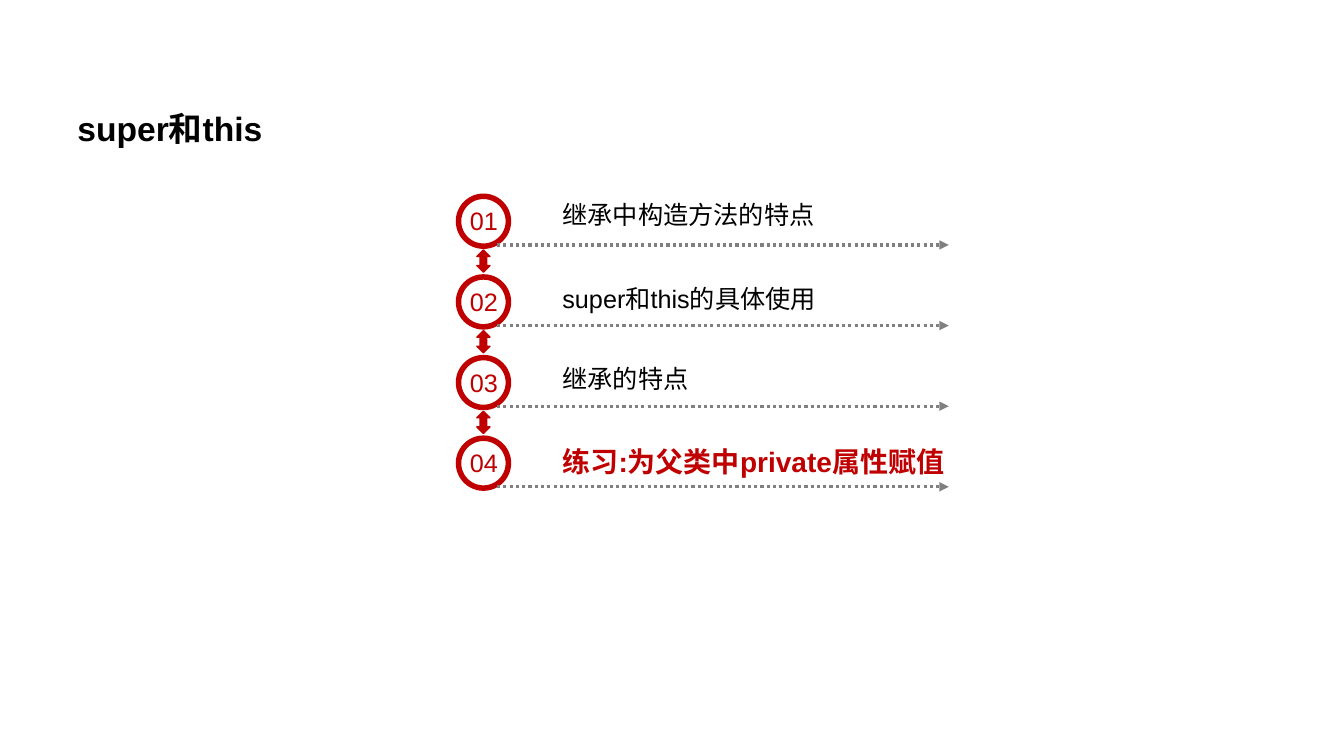
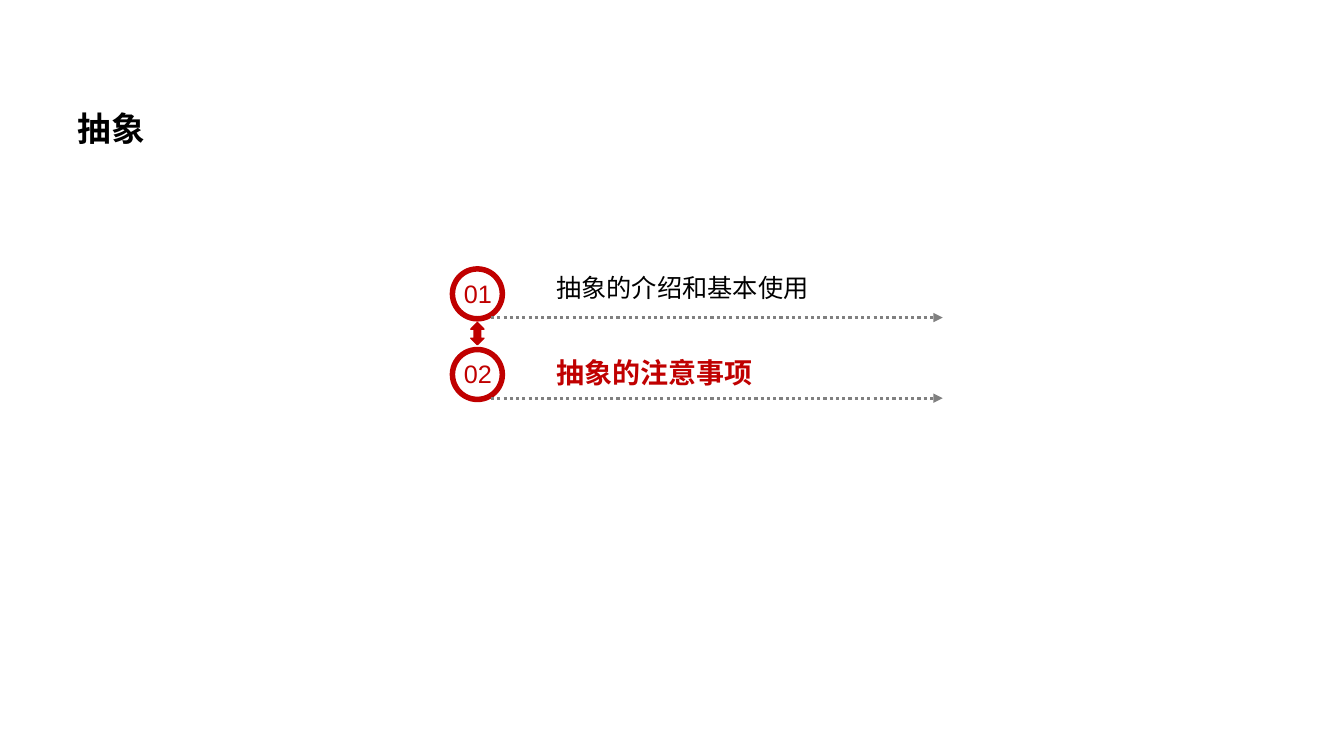
from lxml import etree
from pptx import Presentation
from pptx import util as u
from pptx.dml.color import RGBColor
from pptx.enum import dml, lang, shapes, text
from pptx.oxml.ns import qn

COLORS = {"accent": "C00000", "ink": "000000", "rule": "808080"}
FORMATS = {
    "title": {"size": u.Pt(24), "bold": True, "color": "ink"},
    "number": {"size": u.Pt(18), "bold": False, "color": "accent"},
    "topic": {"size": u.Pt(18), "bold": False, "color": "ink"},
    "current": {"size": u.Pt(20), "bold": True, "color": "accent"},
}
RING_SIZE = 0.55
ROW_PITCH = 0.8


def rgb(name):
    return RGBColor.from_string(COLORS[name])


class Deck:
    """Holds the shared style and the slide being built."""

    def __init__(self):
        self.prs = Presentation()
        self.prs.slide_width = u.Inches(13.33)
        self.prs.slide_height = u.Inches(7.5)
        self.slide = None

    def add_slide(self, title):
        self.slide = self.prs.slides.add_slide(self.prs.slide_layouts[6])
        heading = self.text(title, "title", 0.67, 0.82, 11.74, 0.63)
        heading.line_spacing = 1.5

    def text(self, wording, style, left, top, width, height, wrap=True):
        box = self.slide.shapes.add_textbox(*map(u.Inches, (left, top, width, height)))
        frame = box.text_frame
        frame.word_wrap = wrap
        frame.auto_size = text.MSO_AUTO_SIZE.SHAPE_TO_FIT_TEXT
        paragraph = frame.paragraphs[0]
        run = paragraph.add_run()
        run.text = wording
        run.font.name = "Arial"
        run.font.language_id = lang.MSO_LANGUAGE_ID.SIMPLIFIED_CHINESE
        for key, value in FORMATS[style].items():
            if key == "color":
                run.font.color.rgb = rgb(value)
            else:
                setattr(run.font, key, value)
        return paragraph

    def accent_shape(self, preset, left, top, width, height):
        shape = self.slide.shapes.add_shape(
            preset, *map(u.Inches, (left, top, width, height)))
        shape.shadow.inherit = False
        shape.fill.solid()
        shape.fill.fore_color.rgb = rgb("accent")
        return shape

    def ring(self, left, top):
        ring = self.accent_shape(
            shapes.MSO_SHAPE.DONUT, left, top, RING_SIZE, RING_SIZE)
        ring.adjustments[0] = 0.1
        ring.line.fill.background()

    def link(self, left, top):
        link = self.accent_shape(
            shapes.MSO_SHAPE.UP_DOWN_ARROW, left, top, 0.13, 0.22)
        link.line.color.rgb = rgb("accent")
        link.line.width = u.Pt(1)

    def dotted_arrow(self, left, top, length):
        arrow = self.slide.shapes.add_connector(
            shapes.MSO_CONNECTOR.STRAIGHT,
            *map(u.Inches, (left, top, left + length, top)))
        arrow.line.color.rgb = rgb("rule")
        arrow.line.width = u.Pt(2.25)
        arrow.line.dash_style = dml.MSO_LINE.ROUND_DOT
        outline = arrow.line._get_or_add_ln()
        etree.SubElement(outline, qn("a:tailEnd"), type="triangle")
        etree.SubElement(arrow._element.spPr, qn("a:effectLst"))

    def agenda(self, topics, left, top, current_width=3.96):
        """Numbered topics joined by arrows; the last one is current."""
        last = len(topics) - 1
        for row, topic in enumerate(topics):
            row_top = top + row * ROW_PITCH
            # Numbered ring
            self.ring(left, row_top)
            self.text(f"{row + 1:02d}", "number", left + 0.04, row_top + 0.07,
                      0.48, 0.4, wrap=False).alignment = text.PP_ALIGN.CENTER
            # Topic and its underline
            style, width, height = (
                ("current", current_width, 0.44) if row == last
                else ("topic", 3.96, 0.4))
            topic_top = row_top + (0.04 if row else 0.01)
            self.text(topic, style, left + 0.96, topic_top, width, height)
            self.dotted_arrow(left + 0.41, row_top + 0.51, 4.48)
            # Link to the next ring
            if row < last:
                self.link(left + 0.21, row_top + 0.56)


def main():
    deck = Deck()

    # super and this
    deck.add_slide("super和this")
    deck.agenda(["继承中构造方法的特点", "super和this的具体使用", "继承的特点",
                 "练习:为父类中private属性赋值"], 4.52, 1.92, current_width=4.34)

    # Abstraction
    deck.add_slide("抽象")
    deck.agenda(["抽象的介绍和基本使用", "抽象的注意事项"], 4.46, 2.64)

    deck.prs.save("out.pptx")


if __name__ == "__main__":
    main()
